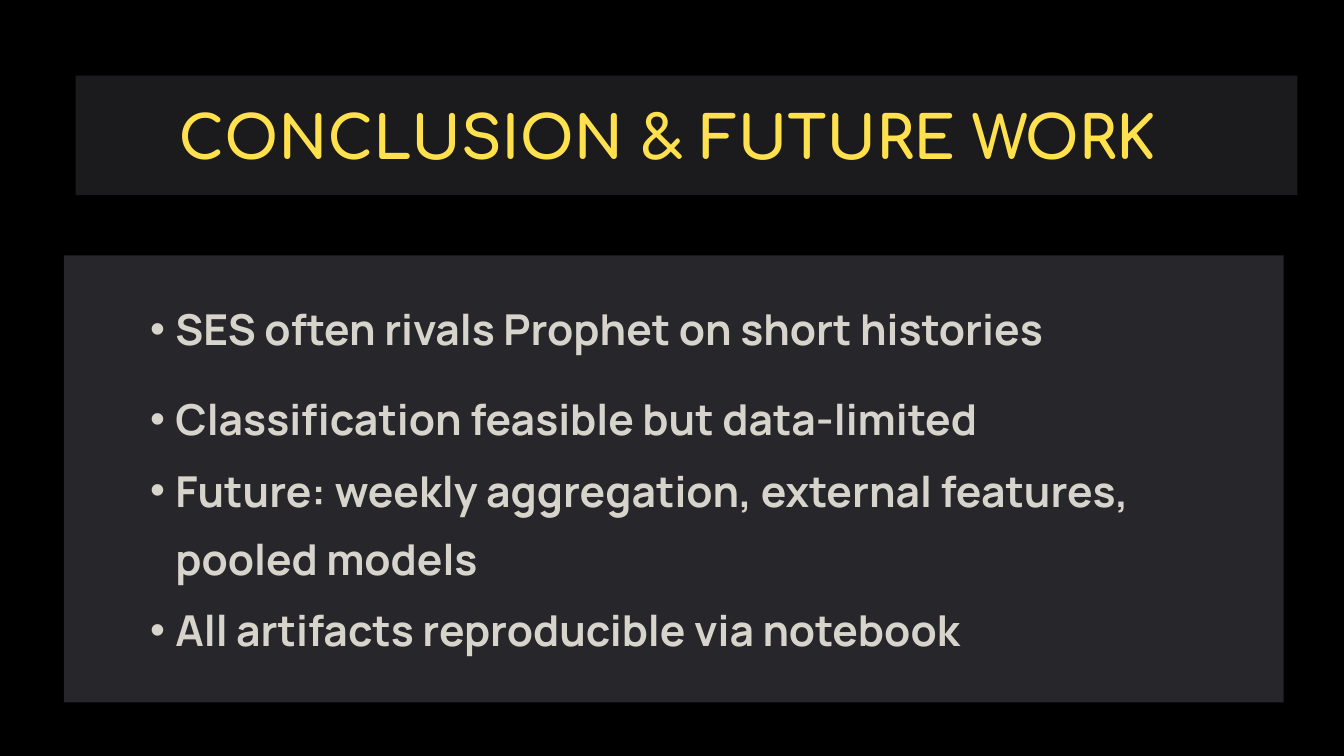
from lxml.etree import SubElement
from pptx import Presentation
from pptx.dml.color import RGBColor
from pptx.enum.shapes import MSO_SHAPE
from pptx.oxml.ns import qn
from pptx.util import Pt

COLORS = {
    "background": "000000",
    "title_bar": "1B1B1E",
    "panel": "27272B",
    "title": "FFE14D",
    "body": "D7D4CC",
}
CONCLUSIONS = [
    ("SES often rivals Prophet on short histories", 32.4, 1222, 70),
    ("Classification feasible but data-limited", 128.2, 1164, 70),
    ("Future: weekly aggregation, external features, pooled models", 205.2, 1127, 143.5),
    ("All artifacts reproducible via notebook", 355, 1127, 70),
]


def color(name):
    """Return the named palette colour."""
    return RGBColor.from_string(COLORS[name])


def add_band(slide, left, top, width, height, fill):
    """Draw a plain filled rectangle."""
    band = slide.shapes.add_shape(
        MSO_SHAPE.RECTANGLE, Pt(left), Pt(top), Pt(width), Pt(height))
    band.shadow.inherit = False
    band.fill.solid()
    band.fill.fore_color.rgb = color(fill)
    band.line.fill.background()


def add_line(slide, left, top, width, height, text, font, size, spacing, fill):
    """Place a bold one-paragraph text box and return its paragraph."""
    frame = slide.shapes.add_textbox(
        Pt(left), Pt(top), Pt(width), Pt(height)).text_frame
    frame.word_wrap = True
    frame.margin_left = frame.margin_top = 0
    frame.margin_right = frame.margin_bottom = 0
    paragraph = frame.paragraphs[0]
    paragraph.line_spacing = Pt(spacing)
    run = paragraph.add_run()
    run.text = text
    run.font.name = font
    run.font.size = Pt(size)
    run.font.bold = True
    run.font.color.rgb = color(fill)
    return paragraph


def add_bullet(paragraph):
    """Give a paragraph a hanging round bullet."""
    paragraph.level = 1
    properties = paragraph._p.get_or_add_pPr()
    properties.set("marL", str(Pt(54)))
    properties.set("indent", str(Pt(-27)))
    SubElement(properties, qn("a:buFont"), typeface="Arial")
    SubElement(properties, qn("a:buChar"), char="•")


def add_title(slide, left, top, width, height):
    """Build the title bar and its heading."""
    add_band(slide, left, top, width, height, "title_bar")
    add_line(slide, left + 110, top + 23, 1062, 79.2,
             "CONCLUSION & FUTURE WORK", "Comfortaa", 63.3, 79.1, "title")


def add_conclusions(slide, left, top, width, height):
    """Build the panel with the bulleted conclusions."""
    add_band(slide, left, top, width, height, "panel")
    for conclusion, offset, line_width, line_height in CONCLUSIONS:
        add_bullet(add_line(
            slide, left + 65.5, top + offset, line_width, line_height,
            conclusion, "Manrope", 45.6, 73.7, "body"))


def main():
    """Create the closing slide and save it."""
    deck = Presentation()
    deck.slide_width, deck.slide_height = Pt(1440), Pt(810)
    slide = deck.slides.add_slide(deck.slide_layouts[6])
    slide.background.fill.solid()
    slide.background.fill.fore_color.rgb = color("background")
    add_title(slide, 81, 81, 1309, 128)
    add_conclusions(slide, 68.4, 273.6, 1307, 479)
    deck.save("out.pptx")


if __name__ == "__main__":
    main()
